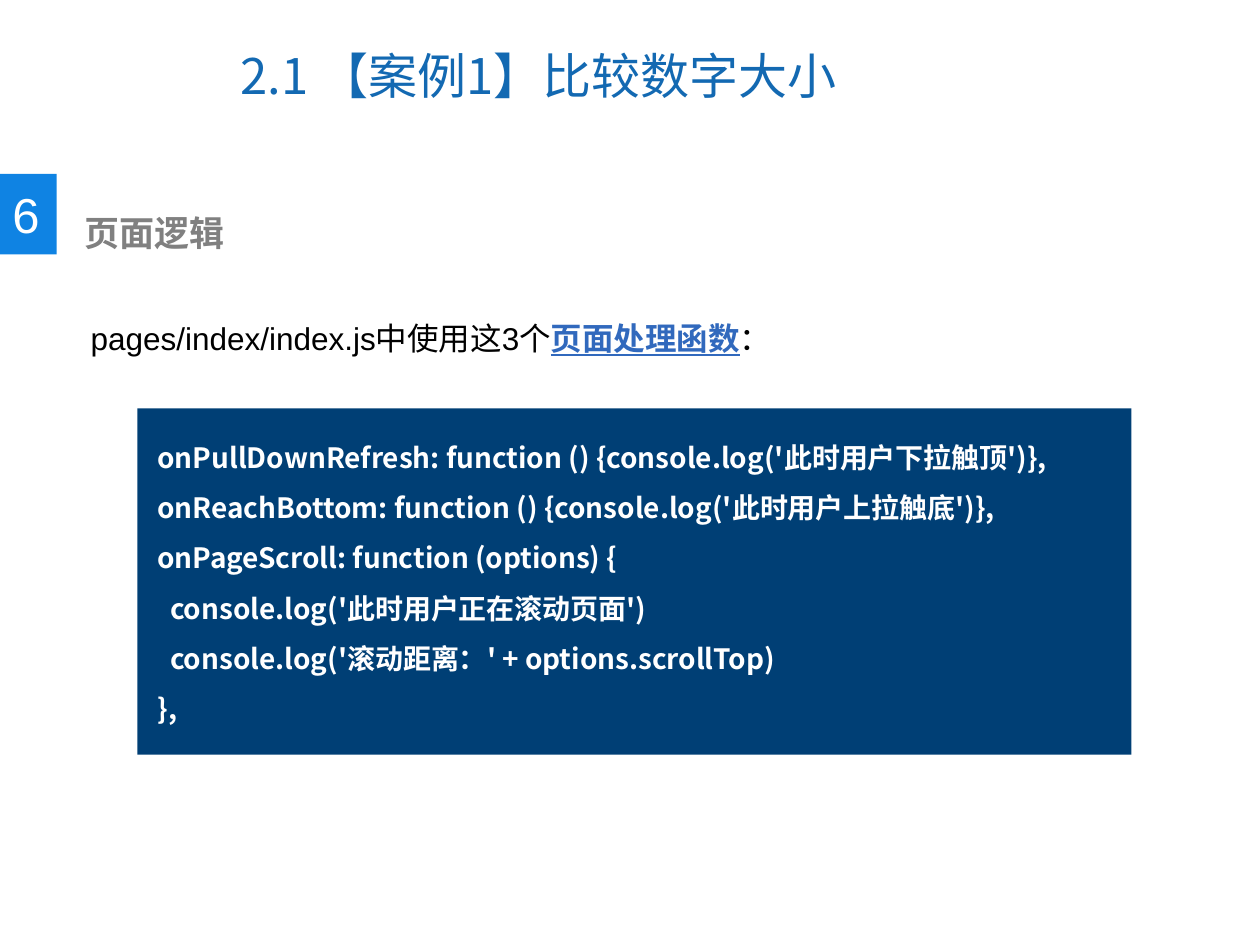
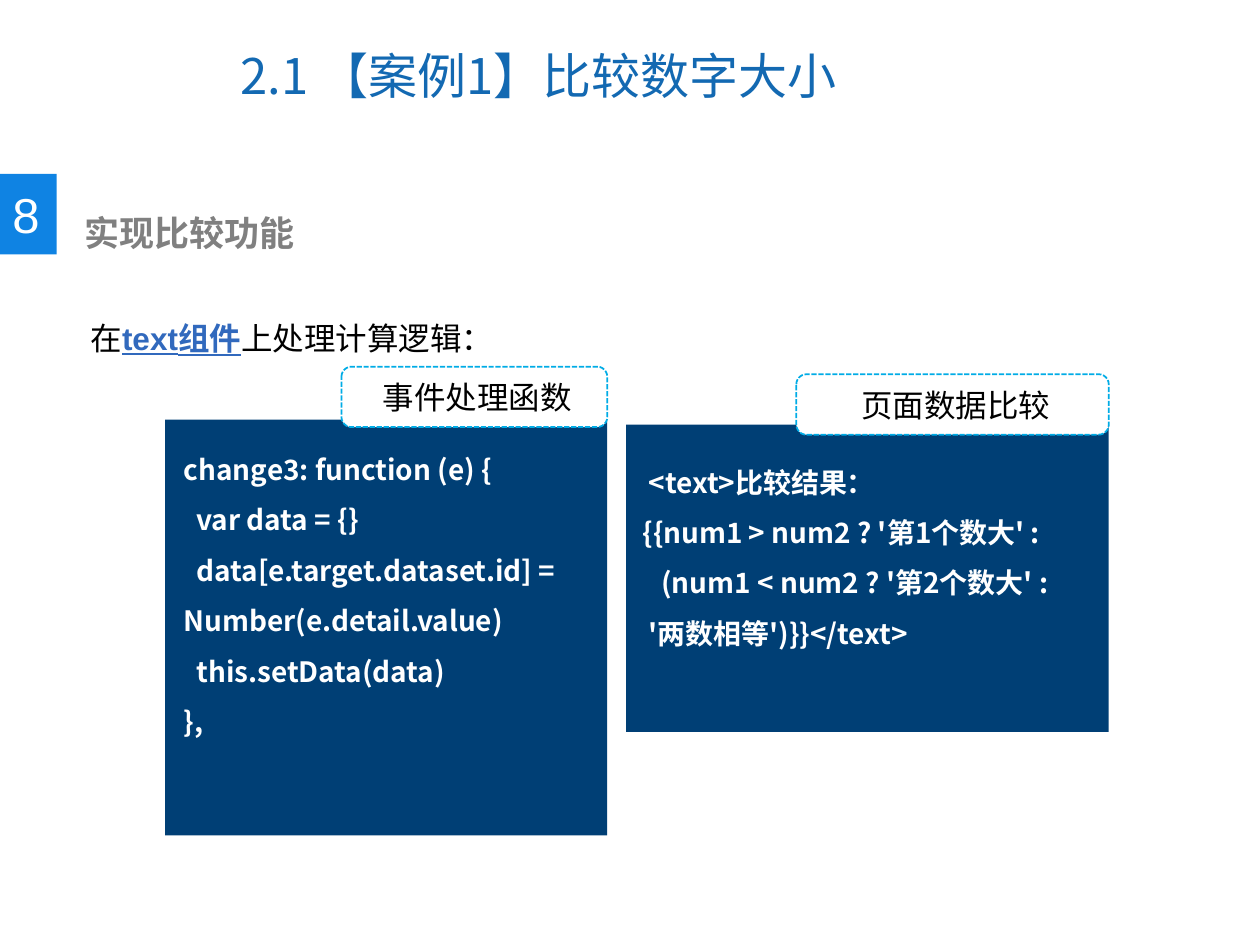
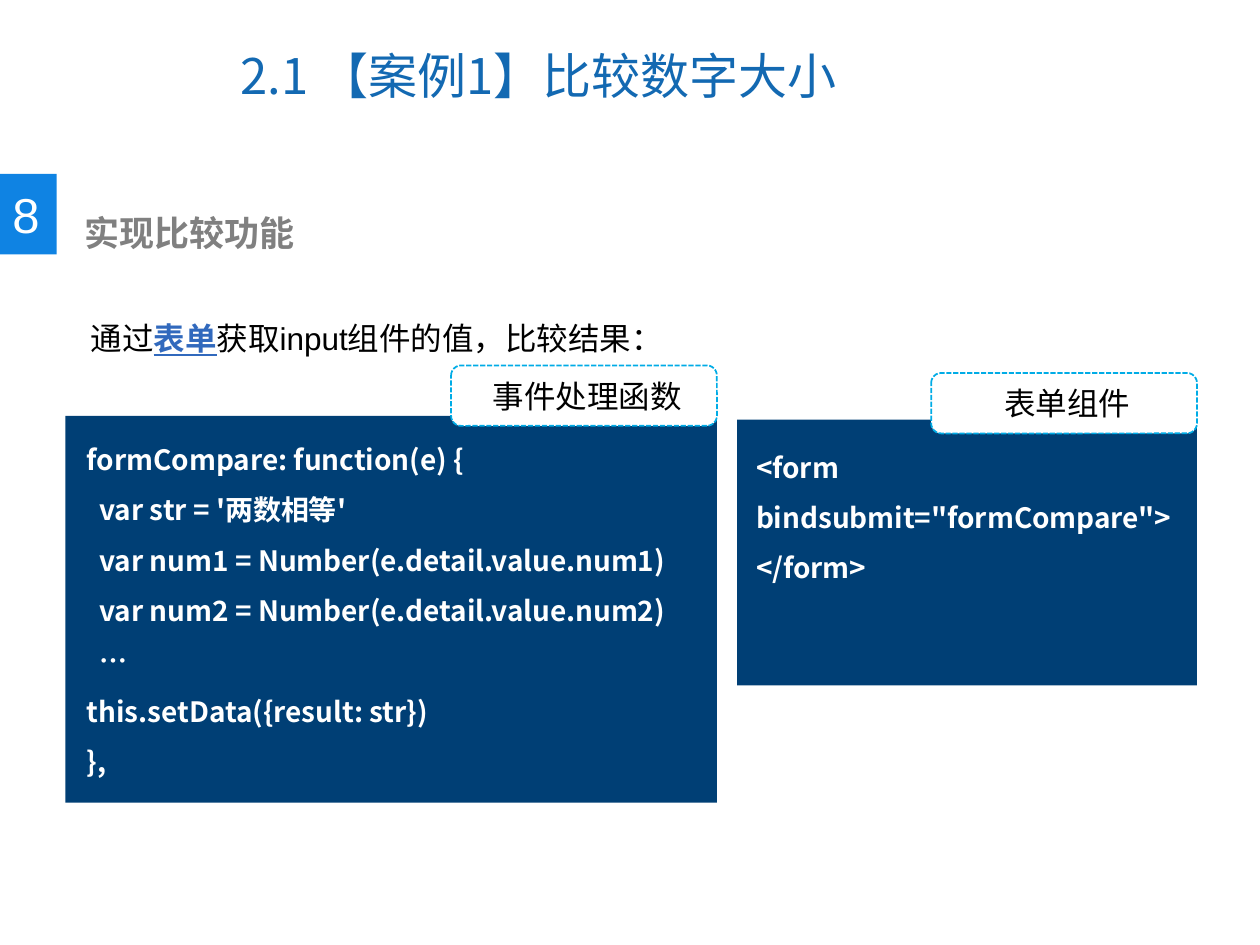
from lxml import etree
from pptx import Presentation
from pptx.dml.color import RGBColor
from pptx.enum.dml import MSO_LINE
from pptx.enum.shapes import MSO_SHAPE
from pptx.enum.text import MSO_ANCHOR, MSO_AUTO_SIZE, PP_ALIGN
from pptx.oxml.ns import qn
from pptx.util import Inches, Pt

RECT, ROUND = MSO_SHAPE.RECTANGLE, MSO_SHAPE.ROUNDED_RECTANGLE
LEFT, MID = PP_ALIGN.LEFT, PP_ALIGN.CENTER
TOP, CENTER = MSO_ANCHOR.TOP, MSO_ANCHOR.MIDDLE
SANS, CJK = "Arial", "Noto Sans CJK SC"
WHITE, BLACK, GREY = "FFFFFF", "000000", "808080"
NAVY, BLUE, TITLE, LINK, CYAN = "003F75", "0F83E3", "1369B2", "3169BD", "00ACE6"
STEP = 0.05     # indent of one code column, in inches
TAG_H = 0.48

HEAD = "2.1 【案例1】比较数字大小"

# Code lines are (indent columns, text); lead is (before, key words, after).
# A block has its box, its left and top padding, and a tag of (text, top, width).
SLIDES = [
    dict(num="6", name="页面逻辑",
         lead=("pages/index/index.js中使用这3个", "页面处理函数", "："),
         blocks=[
             dict(box=(1.09, 3.24, 7.89, 2.75), pad=(0.16, 0.12), code=[
                 (0, "onPullDownRefresh: function () {console.log('此时用户下拉触顶')},"),
                 (0, "onReachBottom: function () {console.log('此时用户上拉触底')},"),
                 (0, "onPageScroll: function (options) {"),
                 (2, "console.log('此时用户正在滚动页面')"),
                 (2, "console.log('滚动距离：' + options.scrollTop)"),
                 (0, "},")])]),
    dict(num="8", name="实现比较功能",
         lead=("在", "text组件", "上处理计算逻辑："),
         blocks=[
             dict(box=(1.31, 3.33, 3.51, 3.3), pad=(0.15, 0.13),
                  tag=("事件处理函数", 2.91, 2.11), code=[
                 (0, "change3: function (e) {"),
                 (2, "var data = {}"),
                 (2, "data[e.target.dataset.id] = Number(e.detail.value)"),
                 (2, "this.setData(data)"),
                 (0, "},")]),
             dict(box=(4.97, 3.37, 3.83, 2.44), pad=(0.13, 0.19),
                  tag=("页面数据比较", 2.97, 2.48), code=[
                 (1, "<text>比较结果："),
                 (0, "{{num1 > num2 ? '第1个数大' :"),
                 (3, "(num1 < num2 ? '第2个数大' :"),
                 (1, "'两数相等')}}</text>")])]),
    dict(num="8", name="实现比较功能",
         lead=("通过", "表单", "获取input组件的值，比较结果："),
         blocks=[
             dict(box=(0.52, 3.3, 5.17, 3.07), pad=(0.17, 0.08),
                  tag=("事件处理函数", 2.9, 2.11), code=[
                 (0, "formCompare: function(e) {"),
                 (2, "var str = '两数相等'"),
                 (2, "var num1 = Number(e.detail.value.num1)"),
                 (2, "var num2 = Number(e.detail.value.num2)"),
                 (2, "…"),
                 (0, "this.setData({result: str})"),
                 (0, "},")]),
             dict(box=(5.85, 3.33, 3.65, 2.11), pad=(0.15, 0.11),
                  tag=("表单组件", 2.96, 2.11), code=[
                 (0, '<form bindsubmit="formCompare">'),
                 (0, "</form>")])]),
]


def rgb(code):
    return RGBColor.from_string(code)


def inch(box):
    return [Inches(n) for n in box]


def add_run(para, text, size=18, font=SANS, color=BLACK, bold=False, line=False):
    run = para.add_run()
    run.text = text
    face = run.font
    face.size, face.name, face.bold, face.underline = Pt(size), font, bold, line
    face.color.rgb = rgb(color)
    etree.SubElement(face._element, qn("a:ea"), typeface=CJK)


def write(shape, lines, align=LEFT, anchor=TOP, space=None, pad=(0.1, 0.05), **style):
    """Fill a shape with lines of (indent columns, text)."""
    frame = shape.text_frame
    frame.word_wrap = True
    frame.auto_size = MSO_AUTO_SIZE.NONE
    frame.vertical_anchor = anchor
    frame.margin_left, frame.margin_top = inch(pad)
    frame.margin_right, frame.margin_bottom = inch((0.05, 0.05))
    for row, (cols, text) in enumerate(lines):
        para = frame.add_paragraph() if row else frame.paragraphs[0]
        para.alignment = align
        if space:
            para.line_spacing = space
        if cols:
            para._p.get_or_add_pPr().set("indent", str(Inches(cols * STEP)))
        add_run(para, text, **style)
    return frame.paragraphs[0]


def add_box(slide, kind, box, fill, line=None):
    shape = slide.shapes.add_shape(kind, *inch(box))
    shape.shadow.inherit = False
    shape.fill.solid()
    shape.fill.fore_color.rgb = rgb(fill)
    if line:
        shape.line.color.rgb = rgb(line)
        shape.line.width = Pt(1)
        shape.line.dash_style = MSO_LINE.SQUARE_DOT
    else:
        shape.line.fill.background()
    return shape


def add_block(slide, box, pad, code, tag=None):
    panel = add_box(slide, RECT, box, NAVY)
    write(panel, code, space=1.5, pad=pad, size=16, font=CJK, color=WHITE, bold=True)
    if tag:
        text, top, width = tag
        left = box[0] + box[2] - width
        label = add_box(slide, ROUND, (left, top, width, TAG_H), WHITE, CYAN)
        write(label, [(0, text)], align=MID, anchor=CENTER)


def add_frame(slide, num, name, lead):
    """Add the title, numbered badge, section name and lead sentence."""
    title = slide.shapes.title
    title.left, title.top, title.width, title.height = inch((1.81, 0.17, 5.16, 0.85))
    write(title, [(0, HEAD)], anchor=CENTER, size=28, font=CJK, color=TITLE)

    badge = add_box(slide, RECT, (0, 1.38, 0.45, 0.64), BLUE)
    write(badge, [(0, num)], anchor=CENTER, size=28, color=WHITE)

    label = slide.shapes.add_textbox(*inch((0.57, 1.63, 5.04, 0.44)))
    write(label, [(0, name)], size=20, font=CJK, color=GREY, bold=True)

    before, key, after = lead
    intro = slide.shapes.add_textbox(*inch((0.62, 2.18, 8.65, 0.71)))
    para = write(intro, [(0, before)], space=2)
    add_run(para, key, color=LINK, bold=True, line=True)
    add_run(para, after)


def main():
    deck = Presentation()
    deck.slide_width, deck.slide_height = inch((10, 7.5))
    for page in SLIDES:
        slide = deck.slides.add_slide(deck.slide_layouts[5])
        add_frame(slide, page["num"], page["name"], page["lead"])
        for block in page["blocks"]:
            add_block(slide, **block)
    deck.save("out.pptx")


if __name__ == "__main__":
    main()
